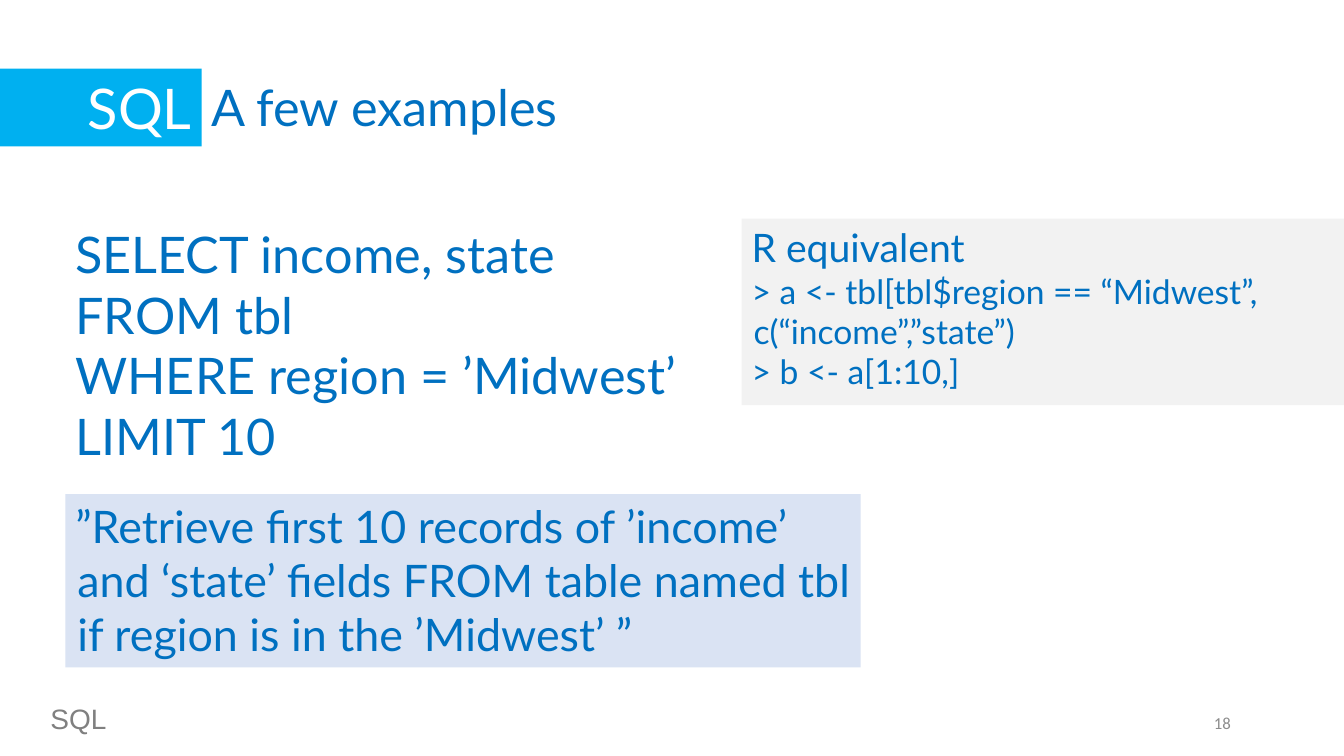
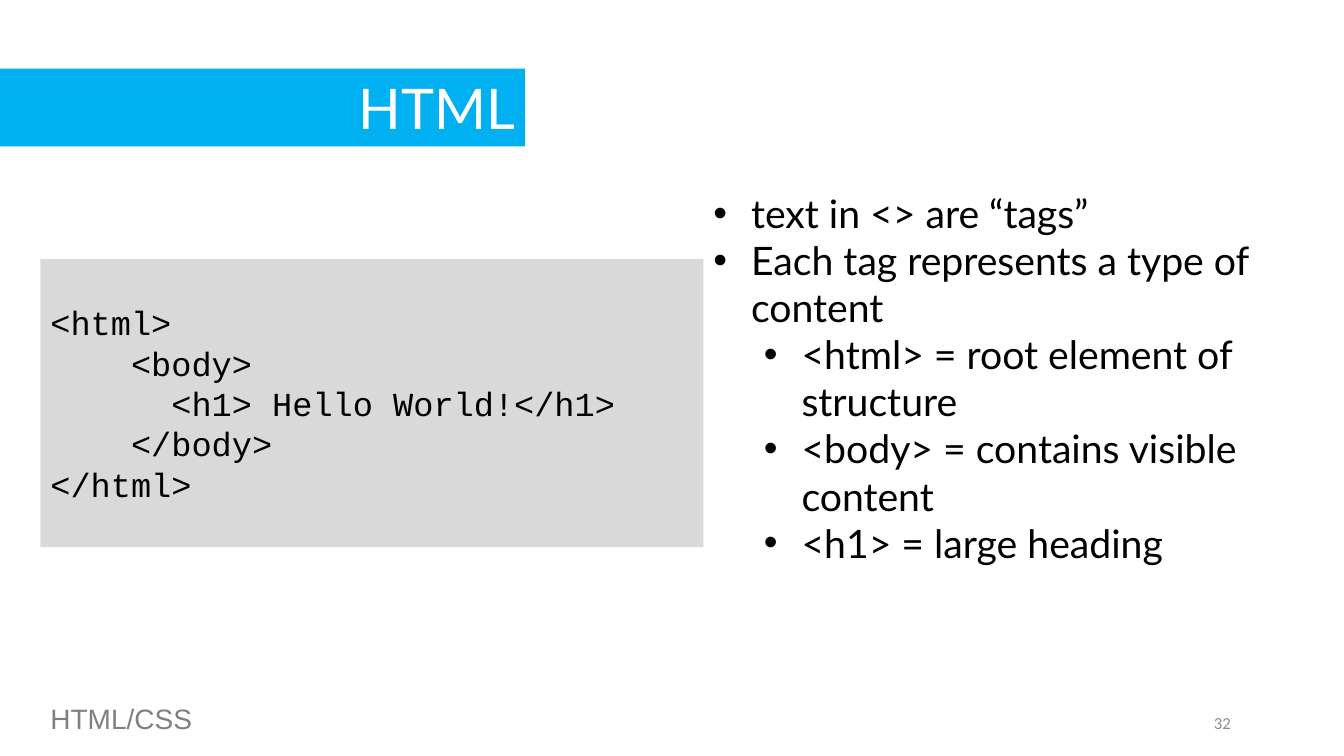
import dataclasses

import pptx
import pptx.dml.color
import pptx.enum.shapes
import pptx.enum.text
import pptx.oxml.ns
import pptx.util
from lxml import etree

Cm = pptx.util.Cm
Align = pptx.enum.text.PP_ALIGN
Anchor = pptx.enum.text.MSO_ANCHOR


@dataclasses.dataclass(frozen=True)
class Theme:
    # colours
    band: str = "00B0F0"
    heading: str = "0070C0"
    on_band: str = "FFFFFF"
    body: str = "000000"
    footer: str = "808080"
    number: str = "8C8C8C"
    summary_fill: str = "DAE3F3"
    equivalent_fill: str = "F2F2F2"
    code_fill: str = "D9D9D9"
    # fonts
    text_font: str = "Lato"
    code_font: str = "Courier New"
    footer_font: str = "Arial"
    number_font: str = "Calibri"
    # type sizes
    title: int = 40
    large: int = 36
    medium: int = 32
    normal: int = 28
    code: int = 24
    footer_size: int = 20
    number_size: int = 12
    # indents in centimetres
    hanging: float = 0.05
    bullet_hanging: float = 0.95
    bullet_step: float = 1.27


THEME = Theme()
SLIDE_WIDTH, SLIDE_HEIGHT = 33.87, 19.05
MARGIN = 1.02


def rgb(value):
    return pptx.dml.color.RGBColor.from_string(value)


def add_box(slide, box, fill=None, anchor=Anchor.TOP):
    """Add a text area, on a filled panel if a fill is given; return its text frame."""
    place = [Cm(length) for length in box]
    if fill:
        panel = slide.shapes.add_shape(pptx.enum.shapes.MSO_SHAPE.RECTANGLE, *place)
        panel.shadow.inherit = False
        panel.fill.solid()
        panel.fill.fore_color.rgb = rgb(fill)
        panel.line.fill.background()
    else:
        panel = slide.shapes.add_textbox(*place)
    frame = panel.text_frame
    frame.word_wrap = True
    frame.vertical_anchor = anchor
    return frame


def add_lines(frame, lines, size, color, font=THEME.text_font, align=Align.LEFT,
              hanging=0, step=0, bullet=None):
    """Write (level, text) pairs or plain strings, one paragraph each."""
    for line in lines:
        level, text = line if isinstance(line, tuple) else (0, line)
        first = frame.paragraphs[0]
        paragraph = frame.add_paragraph() if first.runs else first
        paragraph.alignment = align
        paragraph.level = level
        properties = paragraph._p.get_or_add_pPr()
        properties.set("marL", str(int(Cm(hanging + level * step))))
        properties.set("indent", str(int(Cm(-hanging))))
        if bullet:
            bullet_font = etree.SubElement(properties, pptx.oxml.ns.qn("a:buFont"))
            bullet_font.set("typeface", "Arial")
            mark = etree.SubElement(properties, pptx.oxml.ns.qn("a:buChar"))
            mark.set("char", bullet)
        run = paragraph.add_run()
        run.text = text
        run.font.size = pptx.util.Pt(size)
        run.font.name = font
        run.font.color.rgb = rgb(color)


def add_title(slide, title, band_width, subtitle=None):
    band = add_box(slide, (0, 1.73, band_width, 1.96), THEME.band)
    add_lines(band, [title], THEME.title, THEME.on_band, align=Align.RIGHT)
    if subtitle:
        beside = add_box(slide, (band_width, 1.8, 20.04, 1.8))
        add_lines(beside, [subtitle], THEME.large, THEME.heading, hanging=THEME.hanging)


def add_footer(slide, topic, number):
    add_lines(add_box(slide, (MARGIN, 17.55, 24.87, 1.12)), [topic],
              THEME.footer_size, THEME.footer, THEME.footer_font, hanging=THEME.hanging)
    add_lines(add_box(slide, (23.65, 17.7, 7.62, 1.02), anchor=Anchor.MIDDLE), [number],
              THEME.number_size, THEME.number, THEME.number_font, Align.RIGHT)


def add_query(slide, box, query, summary):
    """SQL statement with its plain-language reading in a panel below."""
    left, top, width, height = box
    summary_height = 4.37
    statement = add_box(slide, (left, top, width, 6.4))
    add_lines(statement, query, THEME.large, THEME.heading, hanging=THEME.hanging)
    reading = add_box(slide, (left, top + height - summary_height, width, summary_height),
                      THEME.summary_fill)
    add_lines(reading, [summary], THEME.medium, THEME.heading, hanging=THEME.hanging)


def add_equivalent(slide, box, heading, commands):
    panel = add_box(slide, box, THEME.equivalent_fill)
    add_lines(panel, [heading], THEME.normal, THEME.heading, hanging=THEME.hanging)
    add_lines(panel, commands, THEME.code, THEME.heading, hanging=THEME.hanging)


def add_code(slide, box, code):
    panel = add_box(slide, box, THEME.code_fill, Anchor.MIDDLE)
    add_lines(panel, code, THEME.code, THEME.body, THEME.code_font)


def add_bullets(slide, box, points):
    add_lines(add_box(slide, box), points, THEME.normal, THEME.body,
              hanging=THEME.bullet_hanging, step=THEME.bullet_step, bullet="•")


def build_sql_slide(slide):
    add_title(slide, "SQL", 5.08, "A few examples")
    top = 5.51
    add_query(
        slide, (1.65, top, 20.04, 11.31),
        ["SELECT income, state", "FROM tbl", "WHERE region = ’Midwest’", "LIMIT 10"],
        "”Retrieve first 10 records of ’income’ and ‘state’ fields FROM table named "
        "tbl if region is in the ’Midwest’ ”")
    left = 18.69
    add_equivalent(
        slide, (left, top, SLIDE_WIDTH - left, 4.7), "R equivalent",
        ["> a <- tbl[tbl$region == “Midwest”, c(“income”,”state”)", "> b <- a[1:10,]"])
    add_footer(slide, "SQL", "18")


def build_html_slide(slide):
    add_title(slide, "HTML", 13.23)
    code_width = 16.71
    add_code(slide, (MARGIN, 6.53, code_width, 7.26), [
        "<html>",
        "    <body>",
        "      <h1> Hello World!</h1>",
        "    </body>",
        "</html>",
    ])
    add_bullets(slide, (MARGIN + code_width, 4.65, 15.01, 11.02), [
        (0, "text in <> are “tags”"),
        (0, "Each tag represents a type of content"),
        (1, "<html> = root element of structure"),
        (1, "<body> = contains visible content"),
        (1, "<h1> = large heading"),
    ])
    add_footer(slide, "HTML/CSS", "32")


def main():
    deck = pptx.Presentation()
    deck.slide_width, deck.slide_height = Cm(SLIDE_WIDTH), Cm(SLIDE_HEIGHT)
    blank = deck.slide_layouts[6]
    for build in (build_sql_slide, build_html_slide):
        build(deck.slides.add_slide(blank))
    deck.save("out.pptx")


if __name__ == "__main__":
    main()
